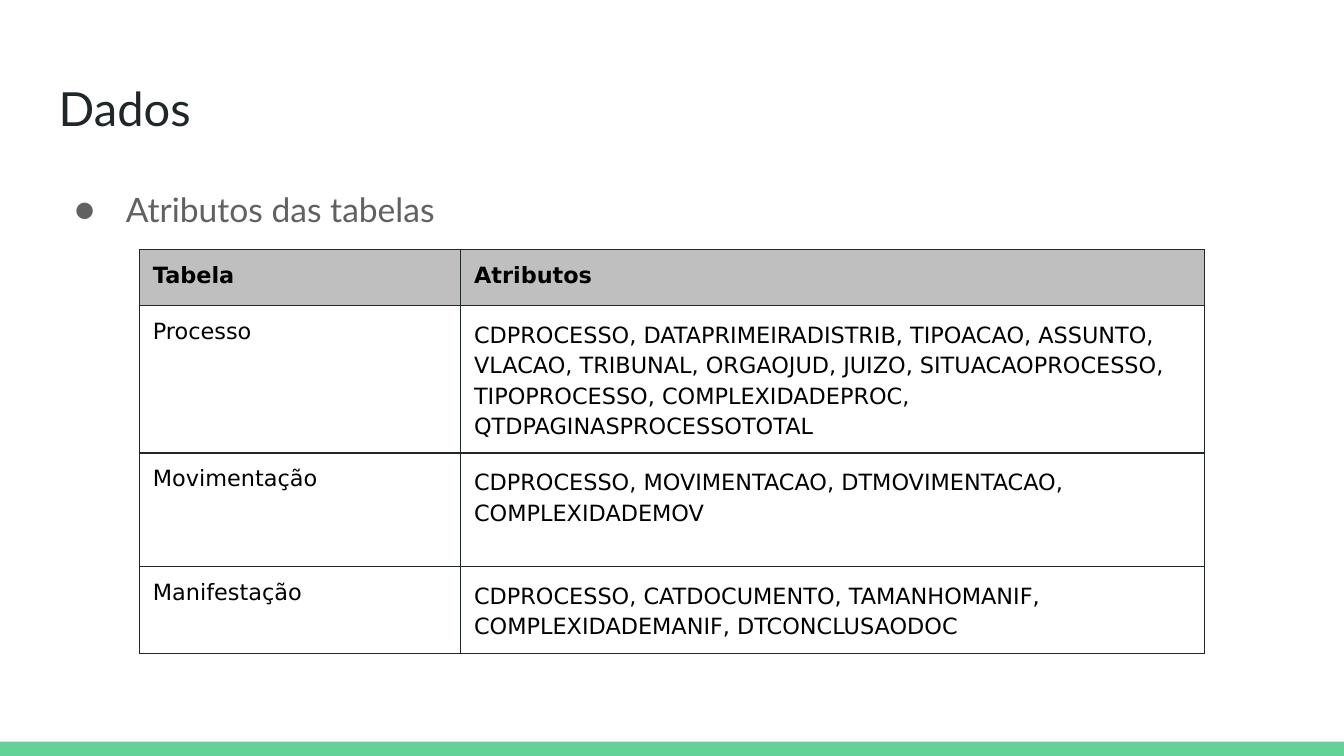
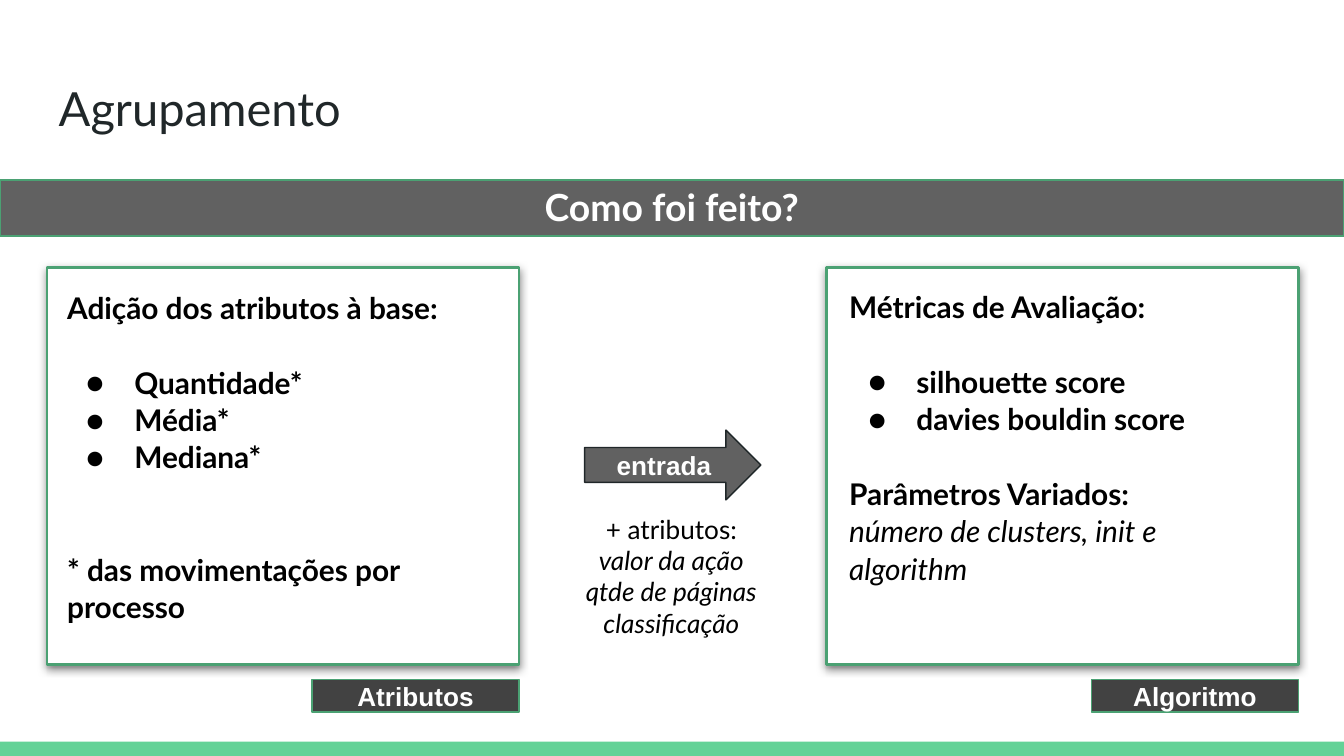
from lxml import etree
from pptx import Presentation
from pptx.dml.color import RGBColor
from pptx.enum.shapes import MSO_SHAPE
from pptx.enum.text import MSO_ANCHOR, MSO_AUTO_SIZE, PP_ALIGN
from pptx.oxml.ns import qn
from pptx.util import Cm, Pt

RECTANGLE, RIGHT_ARROW = MSO_SHAPE.RECTANGLE, MSO_SHAPE.RIGHT_ARROW
LEFT, CENTER = PP_ALIGN.LEFT, PP_ALIGN.CENTER
TOP, MIDDLE = MSO_ANCHOR.TOP, MSO_ANCHOR.MIDDLE
NO_FIT = MSO_AUTO_SIZE.NONE

GREEN = RGBColor(0x63, 0xD2, 0x97)
DARK_GREEN = RGBColor(0x4B, 0xA1, 0x73)
INK = RGBColor(0x20, 0x27, 0x29)
GREY = RGBColor(0x61, 0x61, 0x61)
DARK_GREY = RGBColor(0x42, 0x42, 0x42)
HEADER_GREY = RGBColor(0xBF, 0xBF, 0xBF)
BLACK = RGBColor(0, 0, 0)
WHITE = RGBColor(0xFF, 0xFF, 0xFF)

SLIDE_WIDTH, SLIDE_HEIGHT = 25.4, 14.29
FOOTER_HEIGHT = 0.27
INSET = 0.25
TITLE_AREA = (0.86, 1.24, 23.67, 1.6)
BODY_AREA = (0.86, 3.2, 23.67, 9.5)

TABLE_LEFT, TABLE_TOP = 2.64, 4.72
COLUMN_WIDTHS = (6.07, 14.05)
ROW_HEIGHTS = (1.06, 2.78, 2.15, 1.64)
TABLE_ROWS = [
    ("Tabela", "Atributos"),
    ("Processo", "CDPROCESSO, DATAPRIMEIRADISTRIB, TIPOACAO, ASSUNTO, VLACAO, "
     "TRIBUNAL, ORGAOJUD, JUIZO, SITUACAOPROCESSO, TIPOPROCESSO, "
     "COMPLEXIDADEPROC, QTDPAGINASPROCESSOTOTAL"),
    ("Movimentação", "CDPROCESSO, MOVIMENTACAO, DTMOVIMENTACAO, COMPLEXIDADEMOV"),
    ("Manifestação", "CDPROCESSO, CATDOCUMENTO, TAMANHOMANIF, COMPLEXIDADEMANIF, "
     "DTCONCLUSAODOC"),
]

GAP = 20.2
HEADING_BAND = (0, 3.4, SLIDE_WIDTH, 1.06)
PANEL_TOP, PANEL_WIDTH, PANEL_HEIGHT = 5.05, 8.92, 7.52
TAG_TOP, TAG_WIDTH, TAG_HEIGHT = 12.85, 3.91, 0.61
PANELS = [
    {"left": 0.89, "tag": "Atributos", "text_area": (1.02, 5.2, 8.6, 7.67),
     "lines": [
         ("Adição dos atributos à base:", {}),
         ("Quantidade*", {"bullet": True, "before": GAP}),
         ("Média*", {"bullet": True}),
         ("Mediana*", {"bullet": True}),
         ("* das movimentações por processo", {"before": 2 * GAP}),
     ]},
    {"left": 15.62, "tag": "Algoritmo", "text_area": (15.8, 5.18, 8.53, 6.96),
     "lines": [
         ("Métricas de Avaliação:", {}),
         ("silhouette score", {"bullet": True, "before": GAP}),
         ("davies bouldin score", {"bullet": True}),
         ("Parâmetros Variados:", {"before": GAP}),
         ("número de clusters, init e algorithm", {"bold": False, "italic": True}),
     ]},
]
ARROW_AREA = (11.05, 8.13, 3.33, 1.32)
INPUT_AREA = (10.44, 9.45, 4.5, 2.9)
INPUT_LINES = [("+ atributos:", False), ("valor da ação", True),
               ("qtde de páginas", True), ("classificação", True)]


def area(values):
    return [Cm(value) for value in values]


def place(shape, values):
    shape.left, shape.top, shape.width, shape.height = area(values)


def set_frame(frame, anchor=TOP):
    frame.word_wrap = True
    frame.auto_size = NO_FIT
    frame.vertical_anchor = anchor
    frame.margin_left = frame.margin_right = Cm(INSET)
    frame.margin_top = frame.margin_bottom = Cm(INSET)


def format_paragraph(paragraph, size, color, font="Lato", bold=False, italic=False,
                     align=LEFT, spacing=1.0, before=0, bullet=False, indent=0.91):
    paragraph.alignment = align
    paragraph.line_spacing = spacing
    paragraph.space_before = Pt(before)
    paragraph.space_after = Pt(0)
    properties = paragraph._p.get_or_add_pPr()
    properties.set("marL", str(Cm(1.27 if bullet else 0)))
    properties.set("indent", str(-Cm(indent) if bullet else 0))
    if bullet:
        bullet_color = etree.SubElement(properties, qn("a:buClr"))
        etree.SubElement(bullet_color, qn("a:srgbClr"), val=str(color))
        etree.SubElement(properties, qn("a:buFont"), typeface=font)
        etree.SubElement(properties, qn("a:buChar"), char="●")
    else:
        etree.SubElement(properties, qn("a:buNone"))
    for run in paragraph.runs:
        run.font.name, run.font.size = font, Pt(size)
        run.font.bold, run.font.italic = bold, italic
        run.font.color.rgb = color


def write(frame, text, anchor=TOP, **style):
    set_frame(frame, anchor)
    frame.text = text
    for paragraph in frame.paragraphs:
        format_paragraph(paragraph, **style)


def add_box(slide, kind, values, fill, line=None, line_width=0.75):
    shape = slide.shapes.add_shape(kind, *area(values))
    shape.shadow.inherit = False
    shape.fill.solid()
    shape.fill.fore_color.rgb = fill
    if line is None:
        shape.line.fill.background()
    else:
        shape.line.color.rgb = line
        shape.line.width = Pt(line_width)
    return shape


def add_label(slide, kind, values, text, fill, line):
    shape = add_box(slide, kind, values, fill, line)
    write(shape.text_frame, text, MIDDLE, size=14, color=WHITE, font="Arial",
          bold=True, align=CENTER)


def add_shadow(shape):
    effects = shape.element.spPr.find(qn("a:effectLst"))
    shadow = etree.SubElement(effects, qn("a:outerShdw"), blurRad=str(Pt(4.5)),
                              dist=str(Pt(1.5)), dir="5400000", algn="bl",
                              rotWithShape="0")
    color = etree.SubElement(shadow, qn("a:srgbClr"), val=str(BLACK))
    etree.SubElement(color, qn("a:alpha"), val="50000")


def add_borders(cell):
    properties = cell._tc.get_or_add_tcPr()
    for side in ("a:lnL", "a:lnR", "a:lnT", "a:lnB"):
        border = etree.SubElement(properties, qn(side), w=str(Pt(0.75)))
        fill = etree.SubElement(border, qn("a:solidFill"))
        etree.SubElement(fill, qn("a:srgbClr"), val=str(INK))


def add_slide(presentation, title, body, **body_style):
    slide = presentation.slides.add_slide(presentation.slide_layouts[1])
    write(slide.shapes.title.text_frame, title, MIDDLE, size=25.2, color=INK)
    write(slide.placeholders[1].text_frame, body, **body_style)
    return slide


def prepare_layout(presentation):
    layout = presentation.slide_layouts[1]
    for placeholder in list(layout.placeholders):
        index = placeholder.placeholder_format.idx
        if index > 1:
            placeholder.element.getparent().remove(placeholder.element)
        else:
            place(placeholder, BODY_AREA if index else TITLE_AREA)


def add_footer(presentation, slide):
    footer = add_box(slide, RECTANGLE, (0, SLIDE_HEIGHT - FOOTER_HEIGHT, SLIDE_WIDTH,
                                        FOOTER_HEIGHT), GREEN)
    presentation.slide_layouts[1].shapes.element.append(footer.element)


def add_attribute_table(slide):
    table = slide.shapes.add_table(
        len(TABLE_ROWS), len(COLUMN_WIDTHS),
        *area((TABLE_LEFT, TABLE_TOP, sum(COLUMN_WIDTHS), sum(ROW_HEIGHTS)))).table
    table.first_row = table.horz_banding = False
    for column, width in zip(table.columns, COLUMN_WIDTHS):
        column.width = Cm(width)
    for row, height in zip(table.rows, ROW_HEIGHTS):
        row.height = Cm(height)
    for row_index, texts in enumerate(TABLE_ROWS):
        header = row_index == 0
        for column_index, text in enumerate(texts):
            cell = table.cell(row_index, column_index)
            cell.text = text
            cell.margin_left = cell.margin_right = Cm(INSET)
            cell.margin_top = cell.margin_bottom = Cm(INSET)
            spacing = 1.15 if column_index and not header else 1.0
            format_paragraph(cell.text_frame.paragraphs[0], 12, BLACK, "DejaVu Sans",
                             bold=header, spacing=spacing)
            add_borders(cell)
            if header:
                cell.fill.solid()
                cell.fill.fore_color.rgb = HEADER_GREY
            else:
                cell.fill.background()


def add_panel(slide, panel):
    box = add_box(slide, RECTANGLE, (panel["left"], PANEL_TOP, PANEL_WIDTH, PANEL_HEIGHT),
                  WHITE, DARK_GREEN, 1.5)
    add_shadow(box)
    frame = slide.shapes.add_textbox(*area(panel["text_area"])).text_frame
    set_frame(frame)
    frame.text = "\n".join(text for text, style in panel["lines"])
    for paragraph, (text, style) in zip(frame.paragraphs, panel["lines"]):
        format_paragraph(paragraph, 16, BLACK, spacing=1.04, **{"bold": True, **style})
    tag_left = panel["left"] + PANEL_WIDTH - TAG_WIDTH
    add_label(slide, RECTANGLE, (tag_left, TAG_TOP, TAG_WIDTH, TAG_HEIGHT),
              panel["tag"], DARK_GREY, DARK_GREEN)


def add_input(slide):
    add_label(slide, RIGHT_ARROW, ARROW_AREA, "entrada", GREY, INK)
    frame = slide.shapes.add_textbox(*area(INPUT_AREA)).text_frame
    set_frame(frame)
    frame.text = "\n".join(text for text, italic in INPUT_LINES)
    for paragraph, (text, italic) in zip(frame.paragraphs, INPUT_LINES):
        format_paragraph(paragraph, 14, BLACK, italic=italic, align=CENTER)


presentation = Presentation()
presentation.slide_width, presentation.slide_height = Cm(SLIDE_WIDTH), Cm(SLIDE_HEIGHT)
prepare_layout(presentation)

data_slide = add_slide(presentation, "Dados", "Atributos das tabelas", size=18,
                       color=GREY, spacing=1.15, bullet=True, indent=0.97)
add_footer(presentation, data_slide)
add_attribute_table(data_slide)

cluster_slide = add_slide(presentation, "Agrupamento", "Como foi feito?", size=20,
                          color=WHITE, bold=True, align=CENTER, spacing=1.04)
heading_band = add_box(cluster_slide, RECTANGLE, HEADING_BAND, GREY, DARK_GREEN)
cluster_slide.shapes.element.insert(2, heading_band.element)
for panel in PANELS:
    add_panel(cluster_slide, panel)
add_input(cluster_slide)

presentation.save("out.pptx")
